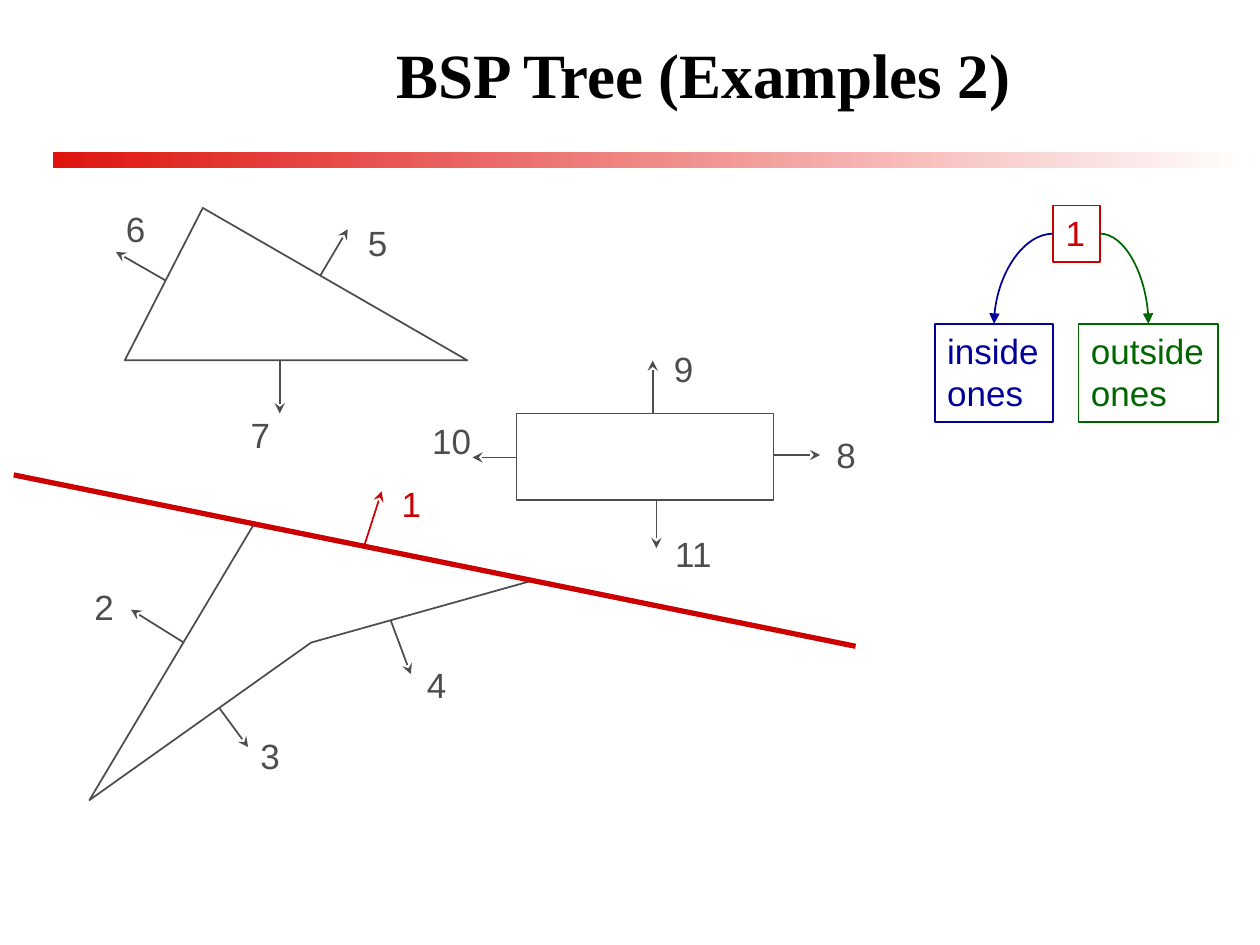
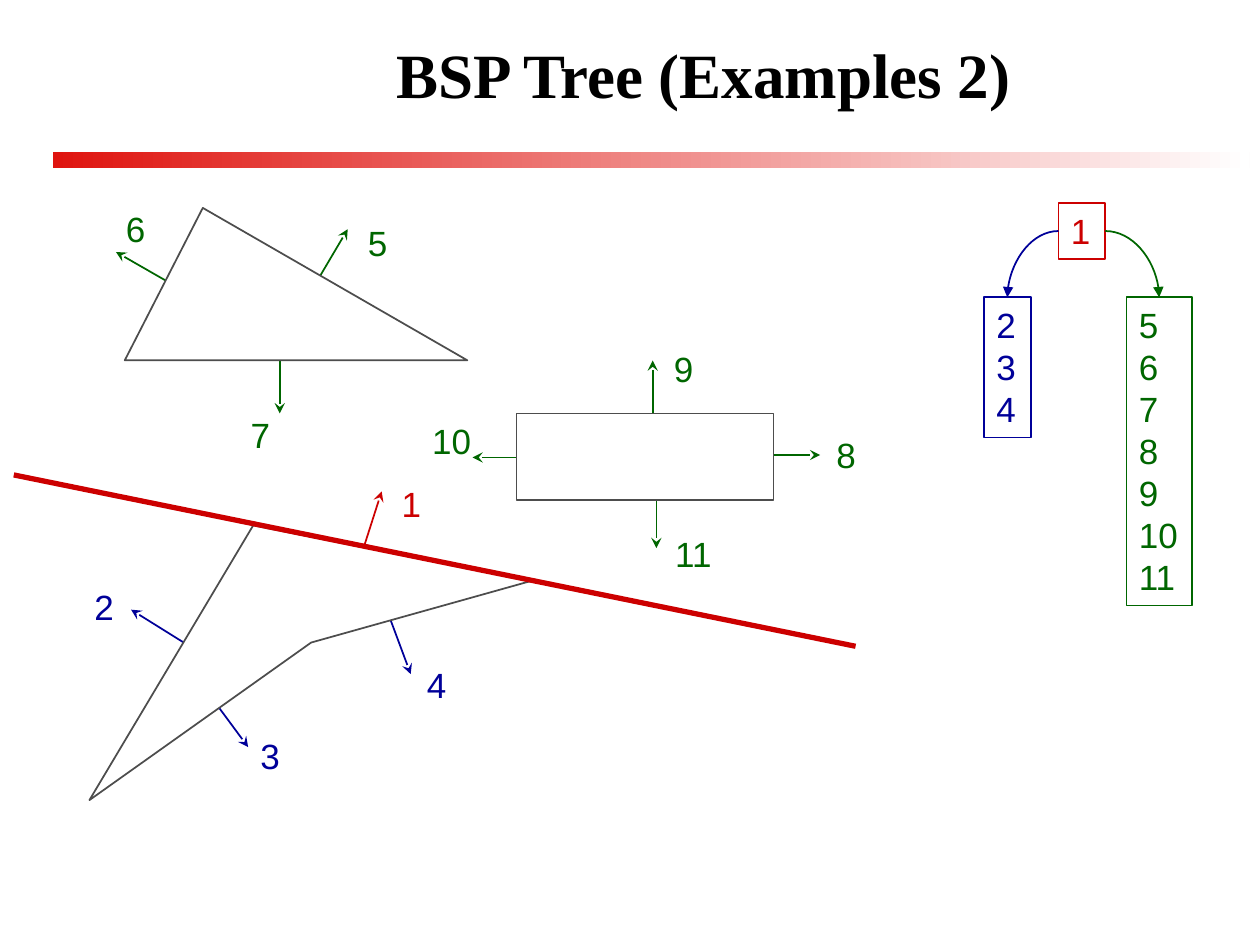
from dataclasses import dataclass

from lxml.etree import SubElement
from pptx import Presentation
from pptx.dml.color import RGBColor
from pptx.enum.shapes import MSO_CONNECTOR, MSO_SHAPE
from pptx.enum.text import MSO_ANCHOR, MSO_AUTO_SIZE, PP_ALIGN
from pptx.oxml.ns import qn
from pptx.util import Pt


@dataclass(frozen=True)
class Theme:
    title_font: str = "Times New Roman"
    body_font: str = "Arial"
    title_size: float = 36
    body_size: float = 20
    line_height: float = 24
    thin: float = 1
    thick: float = 3
    black: str = "000000"
    white: str = "FFFFFF"
    gray: str = "4D4D4D"
    red: str = "CC0000"
    band_red: str = "DF140F"
    inside: str = "000099"
    outside: str = "006600"


@dataclass(frozen=True)
class Box:
    left: float
    top: float
    width: float
    height: float

    def point(self, offset):
        return Pt(self.left + offset[0]), Pt(self.top + offset[1])

    def lengths(self):
        return [Pt(value) for value in (self.left, self.top, self.width, self.height)]


@dataclass(frozen=True)
class Normal:
    label: str
    start: tuple
    end: tuple
    label_at: tuple


@dataclass(frozen=True)
class Figure:
    box: Box
    corners: tuple
    normals: tuple


@dataclass(frozen=True)
class Tree:
    box: Box
    root_left: float
    drop: float
    inside_text: str
    inside_width: float
    outside_text: str
    outside_width: float


THEME = Theme()
SLIDE_BOX = Box(0, 0, 720, 540)
TITLE_BOX = Box(84.2, 12.2, 635.8, 59.8)
BAND_BOX = Box(30.2, 87, 684, 8.8)
BAND_HEIGHT = 5.8
ROOT_WIDTH = 26.7
NODE_PADDING = 8.2

TRIANGLE = Figure(
    Box(71.3, 118.8, 195.8, 87.1),
    ((44.6, 0), (0, 87.1), (195.8, 87.1)),
    (
        Normal("5", (104.4, 51.1), (127.4, 12.2), (131.8, 4.3)),
        Normal("6", (38.9, 50.4), (-5, 25.2), (-6.5, -3.6)),
        Normal("7", (88.6, 75.6), (88.6, 117.4), (64.8, 113.8)),
    ),
)
NOTCHED = Figure(
    Box(51.1, 300.2, 252.7, 157),
    ((93.6, 0), (0, 157), (126.7, 67), (252.7, 31.7)),
    (
        Normal("2", (65.5, 74.2), (23.8, 48.2), (-4.3, 31)),
        Normal("3", (64.1, 90.7), (90.7, 126.7), (90.7, 115.9)),
        Normal("4", (169.9, 48.2), (183.6, 85), (185.8, 75.6)),
    ),
)
RECTANGLE = Figure(
    Box(295.2, 236.2, 146.9, 49.7),
    (),
    (
        Normal("8", (132.5, 23.8), (173.5, 23.8), (175.7, 7.9)),
        Normal("9", (77.8, 10.1), (77.8, -30.2), (82.8, -41)),
        Normal("10", (13.7, 25.2), (-25.2, 25.2), (-55.4, 0)),
        Normal("11", (79.9, 36), (79.9, 77), (83.5, 64.8)),
    ),
)
DIVIDER = Figure(
    Box(7.9, 271.4, 481, 97.9),
    ((0, 0), (481, 97.9)),
    (Normal("1", (197.3, 49.7), (210.2, 9.4), (214.6, 0.7)),),
)
FIRST_TREE = Tree(Box(534.2, 117.4, 162, 123.8), 67.7, 67.6,
                  "inside\nones", 67.7, "outside\nones", 79.9)
SECOND_TREE = Tree(Box(562.3, 115.9, 118.8, 230.2), 42.6, 54,
                   "2\n3\n4", ROOT_WIDTH, "5\n6\n7\n8\n9\n10\n11", 37.4)


def rgb(value):
    return RGBColor.from_string(value)


def write_text(frame, text, *, color, font=THEME.body_font, size=THEME.body_size,
               bold=False, align=PP_ALIGN.LEFT, anchor=MSO_ANCHOR.TOP,
               line_height=THEME.line_height, wrap=False,
               auto_size=MSO_AUTO_SIZE.SHAPE_TO_FIT_TEXT):
    frame.text = text
    frame.word_wrap = wrap
    frame.auto_size = auto_size
    frame.vertical_anchor = anchor
    for paragraph in frame.paragraphs:
        paragraph.alignment = align
        if line_height:
            paragraph.line_spacing = Pt(line_height)
        for run in paragraph.runs:
            run.font.name = font
            run.font.size = Pt(size)
            run.font.bold = bold
            run.font.color.rgb = rgb(color)


def style_outline(shape, color, fill=None):
    shape.shadow.inherit = False
    if fill:
        shape.fill.solid()
        shape.fill.fore_color.rgb = rgb(fill)
    else:
        shape.fill.background()
    shape.line.color.rgb = rgb(color)
    shape.line.width = Pt(THEME.thin)


def add_line(slide, start, end, color, *, width=THEME.thin, head=None,
             kind=MSO_CONNECTOR.STRAIGHT):
    connector = slide.shapes.add_connector(kind, *start, *end)
    connector.line.color.rgb = rgb(color)
    connector.line.width = Pt(width)
    if head:
        SubElement(connector.line._get_or_add_ln(), qn("a:tailEnd"), type=head)
    SubElement(connector._element.spPr, qn("a:effectLst"))
    return connector


def draw_normals(slide, figure, color):
    for normal in figure.normals:
        add_line(slide, figure.box.point(normal.start), figure.box.point(normal.end),
                 color, head="stealth")
        width = 14.4 + 11.1 * len(normal.label)
        label = slide.shapes.add_textbox(*figure.box.point(normal.label_at), Pt(width), Pt(31.2))
        write_text(label.text_frame, normal.label, color=color)


def draw_polygon(slide, figure, color):
    draw_normals(slide, figure, color)
    if figure.corners:
        first, *others = [figure.box.point(corner) for corner in figure.corners]
        builder = slide.shapes.build_freeform(*first, scale=1.0)
        builder.add_line_segments(others, close=True)
        outline = builder.convert_to_shape()
    else:
        outline = slide.shapes.add_shape(MSO_SHAPE.RECTANGLE, *figure.box.lengths())
    style_outline(outline, THEME.gray, THEME.white)


def draw_scene(slide, inside_color, outside_color):
    draw_normals(slide, DIVIDER, THEME.red)
    draw_polygon(slide, NOTCHED, inside_color)
    draw_polygon(slide, TRIANGLE, outside_color)
    draw_polygon(slide, RECTANGLE, outside_color)
    start, end = [DIVIDER.box.point(corner) for corner in DIVIDER.corners]
    add_line(slide, start, end, THEME.red, width=THEME.thick)


def add_node(slide, box, offset, width, text, color):
    height = THEME.line_height * len(text.split("\n")) + NODE_PADDING
    node = slide.shapes.add_shape(MSO_SHAPE.RECTANGLE, *box.point(offset), Pt(width), Pt(height))
    style_outline(node, color)
    write_text(node.text_frame, text, color=color)
    return node


def add_branch(slide, root, root_side, child, color):
    start = (root.left + (root.width if root_side == 3 else 0), root.top + root.height // 2)
    end = (child.left + child.width // 2, child.top)
    branch = add_line(slide, start, end, color, head="triangle", kind=MSO_CONNECTOR.CURVE)
    branch._element.spPr.find(qn("a:prstGeom")).set("prst", "curvedConnector2")
    branch.begin_connect(root, root_side)
    branch.end_connect(child, 0)


def draw_tree(slide, tree):
    root = add_node(slide, tree.box, (tree.root_left, 0), ROOT_WIDTH, "1", THEME.red)
    inside = add_node(slide, tree.box, (0, tree.drop), tree.inside_width,
                      tree.inside_text, THEME.inside)
    add_branch(slide, root, 1, inside, THEME.inside)
    outside_left = tree.box.width - tree.outside_width
    outside = add_node(slide, tree.box, (outside_left, tree.drop), tree.outside_width,
                       tree.outside_text, THEME.outside)
    add_branch(slide, root, 3, outside, THEME.outside)


def move_bands_to_layout(slide, box):
    for offset in (0, box.height - BAND_HEIGHT):
        band = slide.shapes.add_shape(MSO_SHAPE.RECTANGLE, *box.point((0, offset)),
                                      Pt(box.width), Pt(BAND_HEIGHT))
        band.shadow.inherit = False
        band.line.fill.background()
        band.fill.gradient()
        band.fill.gradient_angle = 0
        for stop, color in zip(band.fill.gradient_stops, (THEME.band_red, THEME.white)):
            stop.color.rgb = rgb(color)
        slide.slide_layout.shapes._spTree.append(band._element)


def draw_title(slide, box, text):
    title = slide.shapes.title
    title.left, title.top, title.width, title.height = box.lengths()
    write_text(title.text_frame, text, color=THEME.black, font=THEME.title_font,
               size=THEME.title_size, bold=True, align=PP_ALIGN.CENTER,
               anchor=MSO_ANCHOR.MIDDLE, line_height=None, wrap=True,
               auto_size=MSO_AUTO_SIZE.NONE)


def add_example(presentation, tree, inside_color, outside_color):
    slide = presentation.slides.add_slide(presentation.slide_layouts[5])
    draw_title(slide, TITLE_BOX, "BSP Tree (Examples 2)")
    draw_scene(slide, inside_color, outside_color)
    draw_tree(slide, tree)
    return slide


def main():
    presentation = Presentation()
    presentation.slide_width = Pt(SLIDE_BOX.width)
    presentation.slide_height = Pt(SLIDE_BOX.height)
    first = add_example(presentation, FIRST_TREE, THEME.gray, THEME.gray)
    move_bands_to_layout(first, BAND_BOX)
    add_example(presentation, SECOND_TREE, THEME.inside, THEME.outside)
    presentation.save("out.pptx")


if __name__ == "__main__":
    main()
